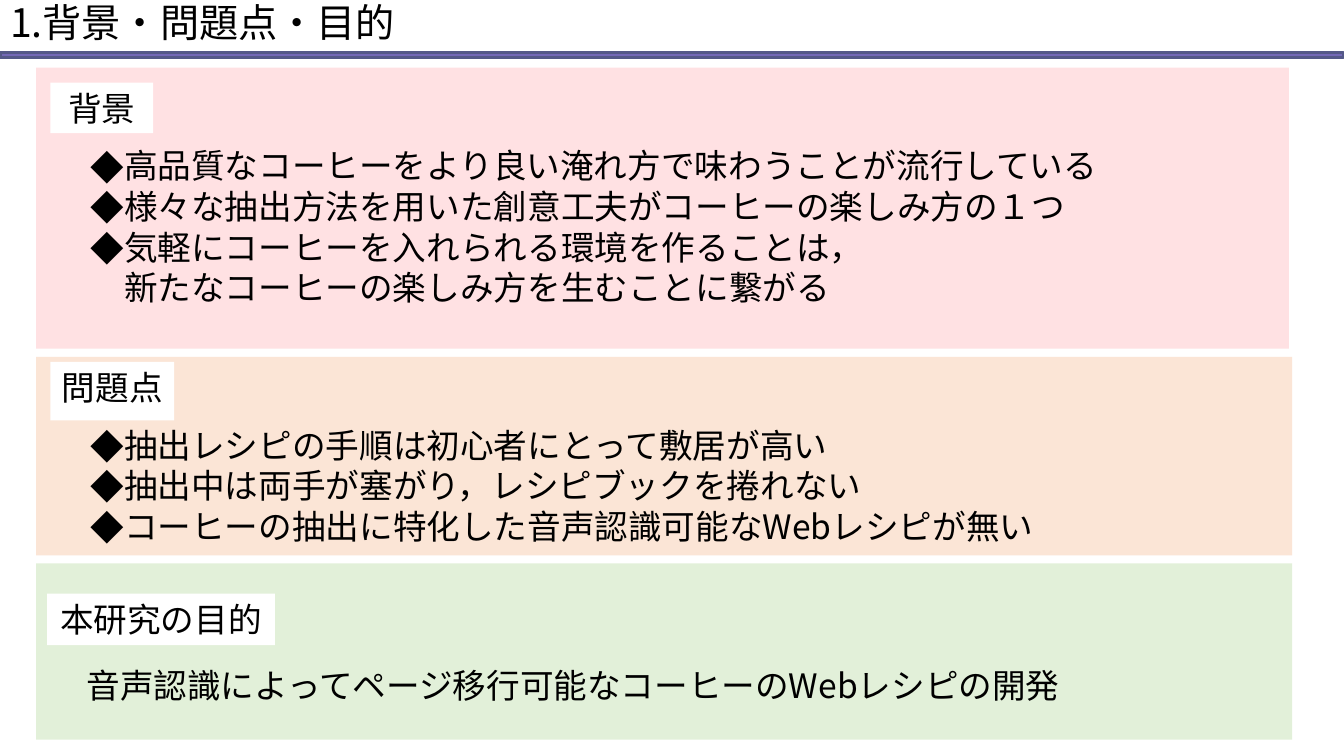
from lxml import etree
from pptx import Presentation
from pptx.dml.color import RGBColor
from pptx.enum.shapes import MSO_SHAPE
from pptx.enum.text import MSO_ANCHOR, MSO_AUTO_SIZE, PP_ALIGN
from pptx.oxml.ns import qn
from pptx.util import Inches, Pt

RECTANGLE = MSO_SHAPE.RECTANGLE
TOP = MSO_ANCHOR.TOP
NO_AUTOSIZE = MSO_AUTO_SIZE.NONE
LEFT, CENTER = PP_ALIGN.LEFT, PP_ALIGN.CENTER
TITLE_ONLY = 5

COLORS = {
    "text": "000000",
    "label": "FFFFFF",
    "rule": "7368B6",
    "rule_edge": "545888",
    "background": "FFE1E3",
    "problem": "FBE5D6",
    "purpose": "E2F0D9",
}

# Positions are (left, top, width, height) in hundredths of the slide.
SECTIONS = [
    {
        "color": "background", "panel": (2.7, 8.93, 93.2, 37.2),
        "label": "背景", "label_at": (3.75, 10.93, 7.65, 6.67),
        "body_at": (6, 18.53, 84.6, 28.27), "bullets": True,
        "body": [
            "高品質なコーヒーをより良い淹れ方で味わうことが流行している",
            "様々な抽出方法を用いた創意工夫がコーヒーの楽しみ方の１つ",
            "気軽にコーヒーを入れられる環境を作ることは，\v新たなコーヒーの楽しみ方を生むことに繋がる",
        ],
    },
    {
        "color": "problem", "panel": (2.7, 47.2, 93.45, 26.27),
        "label": "問題点", "label_at": (3.75, 47.87, 9.2, 7.73),
        "body_at": (6, 55.47, 91, 17.47), "bullets": True,
        "body": [
            "抽出レシピの手順は初心者にとって敷居が高い",
            "抽出中は両手が塞がり，レシピブックを捲れない",
            "コーヒーの抽出に特化した音声認識可能なWebレシピが無い",
        ],
    },
    {
        "color": "purpose", "panel": (2.7, 74.53, 93.45, 23.33),
        "label": "本研究の目的", "label_at": (3.5, 78.53, 16.95, 6.8),
        "body_at": (5.7, 87.2, 90.2, 5.73), "bullets": False,
        "body": ["音声認識によってページ移行可能なコーヒーのWebレシピの開発"],
    },
]


class SlideBuilder:
    font_name = "Noto Sans CJK JP"
    title_size = 28
    body_size = 24
    line_ratio = 1.21

    def __init__(self, deck):
        self.column = deck.slide_width / 100
        self.row = deck.slide_height / 100
        self.slide = deck.slides.add_slide(deck.slide_layouts[TITLE_ONLY])

    def place(self, at):
        """Turn grid columns and rows into slide lengths."""
        left, top, width, height = at
        return (round(left * self.column), round(top * self.row),
                round(width * self.column), round(height * self.row))

    def fill_text(self, frame, lines, size, align=LEFT, bullets=False):
        frame.word_wrap = True
        frame.auto_size = NO_AUTOSIZE
        frame.vertical_anchor = TOP
        frame.margin_left = frame.margin_right = Inches(0.1)
        frame.margin_top = frame.margin_bottom = Inches(0.05)
        for index, line in enumerate(lines):
            paragraph = frame.paragraphs[0] if index == 0 else frame.add_paragraph()
            paragraph.text = line
            if bullets:
                self.add_bullet(paragraph, size)
            paragraph.alignment = align
            paragraph.space_before = Pt(0)
            paragraph.line_spacing = Pt(round(size * self.line_ratio))
            self.set_font(paragraph, size)

    def add_bullet(self, paragraph, size):
        properties = paragraph._p.get_or_add_pPr()
        properties.set("marL", str(Pt(size)))
        properties.set("indent", str(-Pt(size)))
        etree.SubElement(properties, qn("a:buFont")).set("typeface", self.font_name)
        etree.SubElement(properties, qn("a:buChar")).set("char", "◆")

    def set_font(self, paragraph, size):
        """Set the font for both Latin and East Asian characters."""
        font = paragraph.font
        font.size = Pt(size)
        font.name = self.font_name
        font.color.rgb = RGBColor.from_string(COLORS["text"])
        defaults = paragraph._p.pPr.find(qn("a:defRPr"))
        etree.SubElement(defaults, qn("a:ea")).set("typeface", self.font_name)

    def title(self, text, at):
        heading = self.slide.shapes.title
        heading.left, heading.top, heading.width, heading.height = self.place(at)
        self.fill_text(heading.text_frame, [text], self.title_size)

    def rectangle(self, at, color, edge=None):
        box = self.slide.shapes.add_shape(RECTANGLE, *self.place(at))
        box.shadow.inherit = False
        box.fill.solid()
        box.fill.fore_color.rgb = RGBColor.from_string(COLORS[color])
        if edge:
            box.line.color.rgb = RGBColor.from_string(COLORS[edge])
            box.line.width = Pt(2.25)
        else:
            box.line.fill.background()
        return box

    def label(self, text, at):
        box = self.rectangle(at, "label")
        self.fill_text(box.text_frame, [text], self.body_size, CENTER)

    def body(self, lines, at, bullets):
        box = self.slide.shapes.add_textbox(*self.place(at))
        self.fill_text(box.text_frame, lines, self.body_size, bullets=bullets)

    def section(self, content):
        self.rectangle(content["panel"], content["color"])
        self.label(content["label"], content["label_at"])
        self.body(content["body"], content["body_at"], content["bullets"])


def main():
    deck = Presentation()
    deck.slide_width, deck.slide_height = Inches(13.33), Inches(7.5)
    builder = SlideBuilder(deck)
    builder.title("1.背景・問題点・目的", (0, -0.93, 53.55, 7.6))
    builder.rectangle((0, 6.93, 100, 0.67), "rule", "rule_edge")
    for content in SECTIONS:
        builder.section(content)
    deck.save("out.pptx")


if __name__ == "__main__":
    main()
